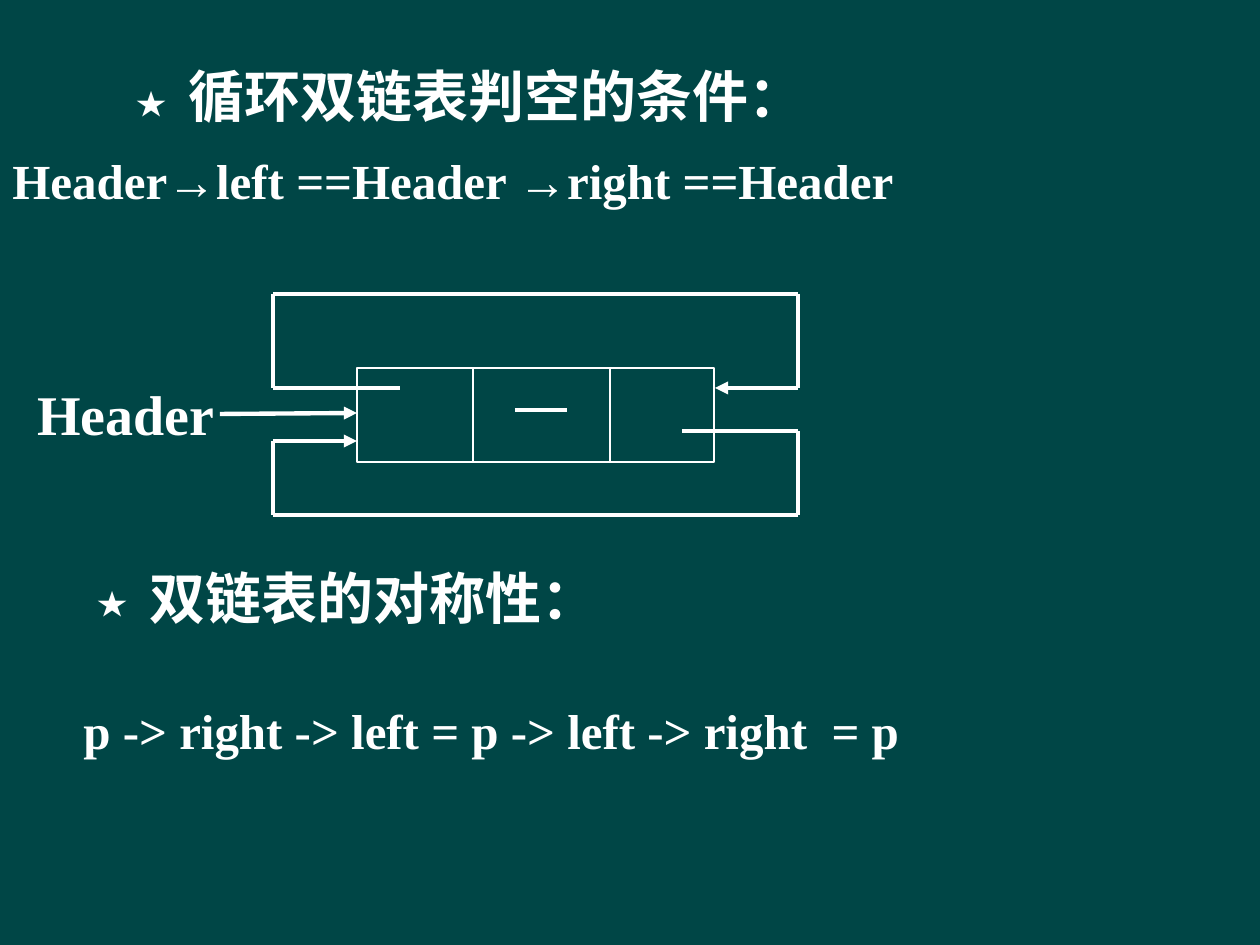
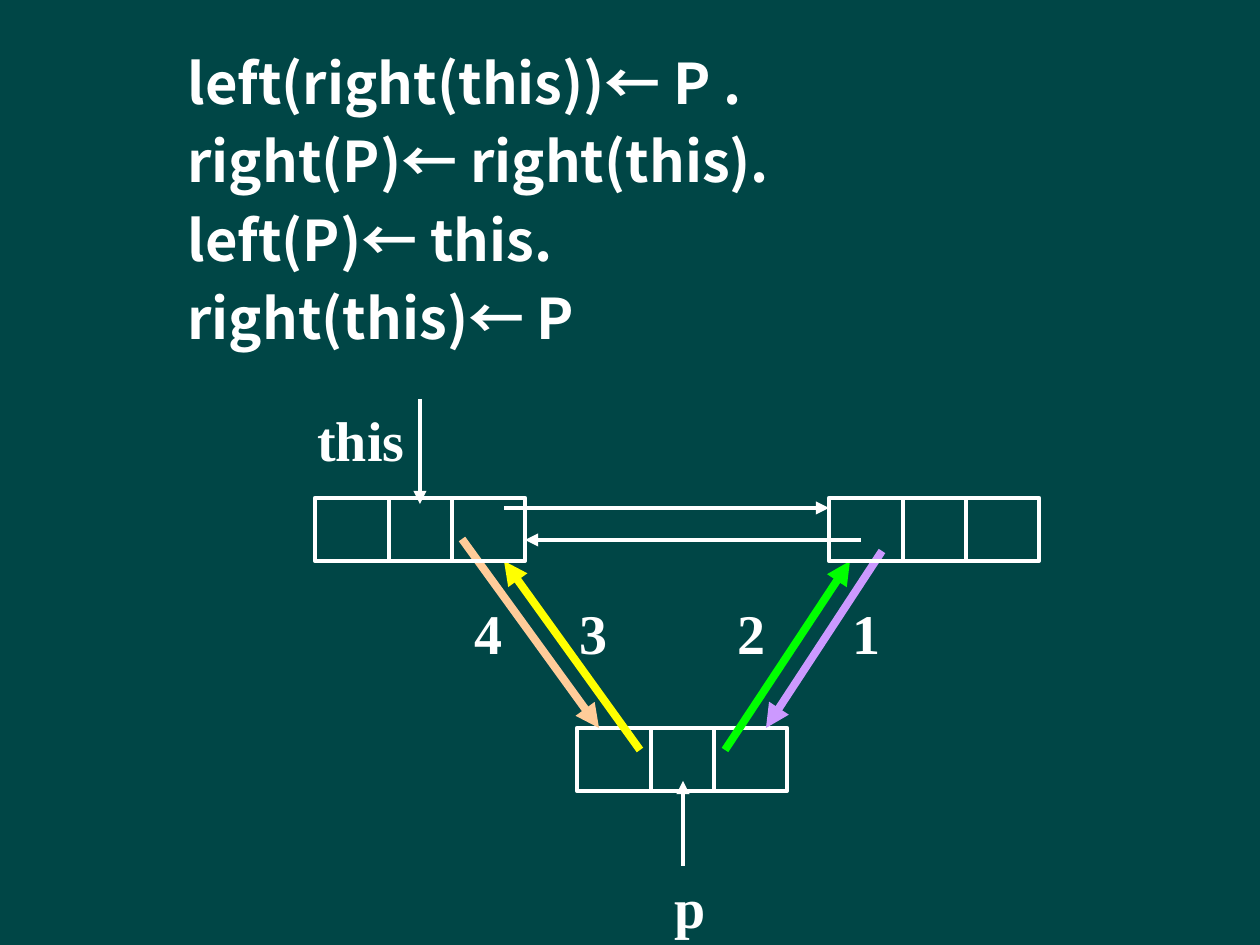
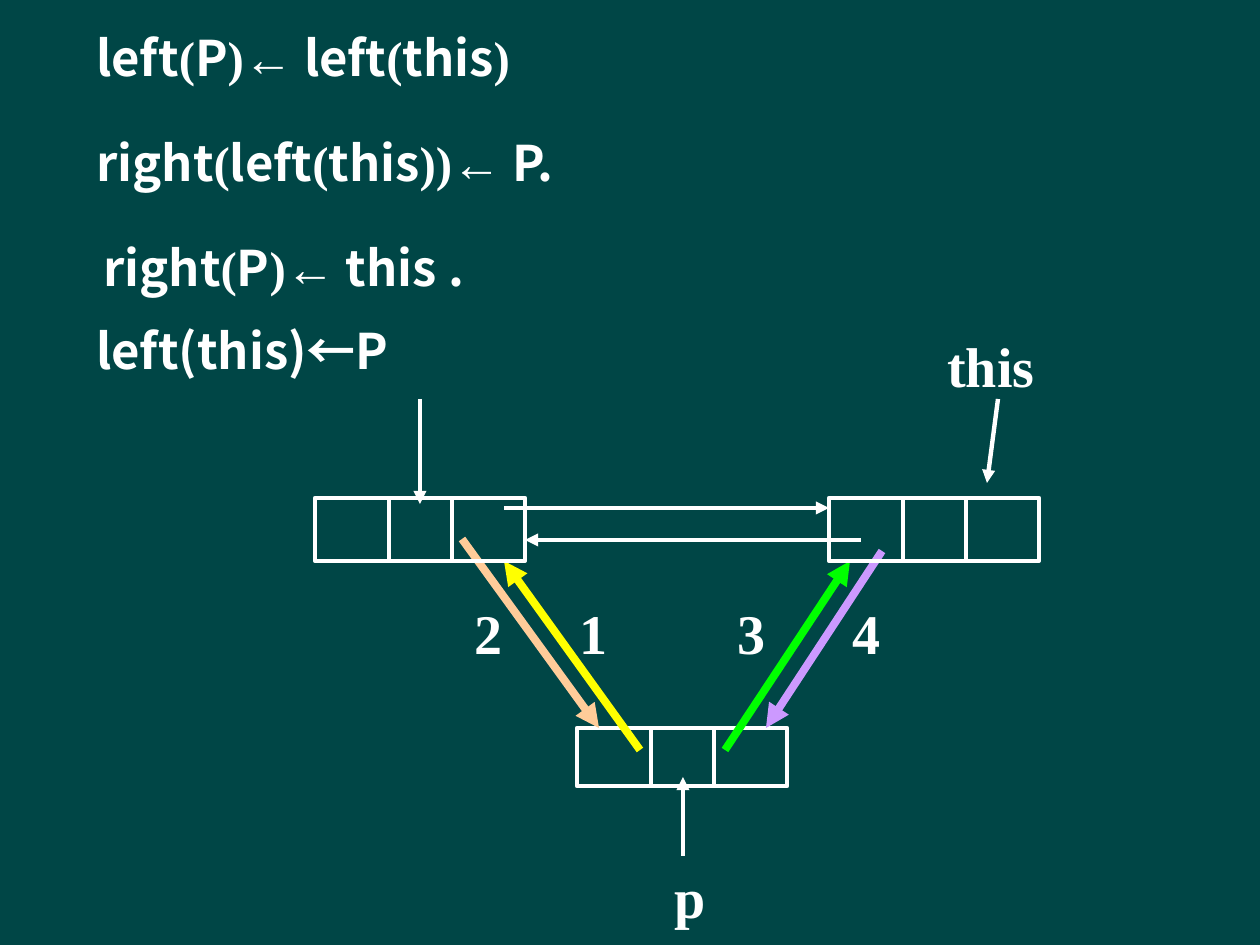
"""Build three slides on circular doubly linked lists and node insertion."""
from itertools import groupby

from lxml.etree import SubElement
from pptx import Presentation
from pptx.dml.color import RGBColor
from pptx.enum.shapes import MSO_CONNECTOR as Connector, MSO_SHAPE as Shape
from pptx.oxml.ns import qn
from pptx.util import Emu, Pt

SCALE = 914400 / 126
TEAL = RGBColor(0x00, 0x46, 0x46)
WHITE = RGBColor(0xFF, 0xFF, 0xFF)
PEACH = RGBColor(0xFF, 0xCC, 0x99)
YELLOW = RGBColor(0xFF, 0xFF, 0x00)
GREEN = RGBColor(0x00, 0xFF, 0x00)
VIOLET = RGBColor(0xCC, 0x99, 0xFF)
SERIF, SANS = "Times New Roman", "Noto Sans CJK SC"

HEADINGS = [
    ("循环双链表判空的条件：", (176, 55), (123, 77)),
    ("双链表的对称性：", (137, 557), (84, 577)),
]
CONDITIONS = [
    ("Header→left ==Header →right ==Header", 0, 144),
    ("p -> right -> left = p -> left -> right  = p", 71, 694),
]
LEFT_LOOP = [(400, 388), (273, 388), (273, 294), (798, 294), (798, 388), (715, 388)]
RIGHT_LOOP = [(682, 431), (798, 431), (798, 515), (273, 515), (273, 441), (357, 441)]

INSERT_AFTER = [
    "left(right(this))← P .",
    "right(P)← right(this).",
    "left(P)← this.",
    "right(this)← P",
]
INSERT_BEFORE = [
    ("left(P)← left(this)", 84, 21, "()←"),
    ("right(left(this))← P.", 84, 126, "()←"),
    ("right(P)← this .", 91, 231, "()←"),
    ("left(this)←P", 84, 314, ""),
]
NEW_LINKS = [
    (PEACH, (462, 539), (599, 728), 462),
    (YELLOW, (640, 750), (504, 561), 567),
    (GREEN, (725, 750), (850, 561), 725),
    (VIOLET, (882, 551), (766, 728), 840),
]


def px(value):
    return Emu(round(value * SCALE))


def add_text(slide, lines, left, top, width=600, height=79, size=32,
             font=SERIF, east=None, serif="", before=0):
    box = slide.shapes.add_textbox(px(left), px(top), px(width), px(height))
    frame = box.text_frame
    frame.word_wrap = True
    for index, line in enumerate(lines):
        paragraph = frame.add_paragraph() if index else frame.paragraphs[0]
        paragraph.space_before = Pt(before)
        for in_serif, letters in groupby(line, lambda letter: letter in serif):
            run = paragraph.add_run()
            run.text = "".join(letters)
            run.font.name = SERIF if in_serif else font
            run.font.size = Pt(size)
            run.font.bold = True
            run.font.color.rgb = WHITE
            if east:
                SubElement(run.font._element, qn("a:ea"), typeface=east)


def add_line(slide, start, end, color=WHITE, weight=2.5, arrow=False):
    line = slide.shapes.add_connector(
        Connector.STRAIGHT, *(px(value) for value in (*start, *end)))
    line.line.color.rgb = color
    line.line.width = Pt(weight)
    if arrow:
        SubElement(line.line._get_or_add_ln(), qn("a:tailEnd"), type="triangle")
    SubElement(line._element.spPr, qn("a:effectLst"))


def add_route(slide, points):
    for index, (start, end) in enumerate(zip(points, points[1:]), 2):
        add_line(slide, start, end, arrow=index == len(points))


def add_node(slide, left, top, width=210, height=63, dividers=(74, 137), weight=2.5):
    node = slide.shapes.add_shape(
        Shape.RECTANGLE, px(left), px(top), px(width), px(height))
    node.shadow.inherit = False
    node.fill.background()
    node.line.color.rgb = WHITE
    node.line.width = Pt(weight)
    for offset in dividers:
        x = left + offset
        add_line(slide, (x, top), (x, top + height), weight=weight)


def add_insertion(slide, steps, new_height, p_top, p_tip):
    add_node(slide, 577, 728, height=new_height)
    add_route(slide, [(683, p_top), (683, p_tip)])
    add_text(slide, ["p"], 662, p_top, width=189)
    for step, (color, start, end, left) in zip(steps, NEW_LINKS):
        add_line(slide, start, end, color, weight=4.5, arrow=True)
        add_text(slide, [step], left, 592, width=84)
    for left in (315, 829):
        add_node(slide, left, 498)
    for route in ([(504, 508), (829, 508)], [(861, 540), (525, 540)],
                  [(420, 399), (420, 504)]):
        add_route(slide, route)


def build_empty_list(slide):
    for heading, place, star_place in HEADINGS:
        add_text(slide, [heading], *place, width=672, east=SANS)
        add_text(slide, ["★"], *star_place, width=64, height=50, size=18)
    for condition, left, top in CONDITIONS:
        add_text(slide, [condition], left, top, width=1100, height=69, size=28)
    add_text(slide, ["Header"], 25, 373, width=220)
    add_node(slide, 357, 368, width=357, height=94, dividers=(116, 253), weight=1)
    for route in (LEFT_LOOP, RIGHT_LOOP, [(220, 414), (357, 413)]):
        add_route(slide, route)
    add_line(slide, (515, 410), (567, 410))


def build_insert_after(slide):
    add_text(slide, INSERT_AFTER, 175, 42, width=900, height=330, font=SANS, before=6.4)
    add_insertion(slide, "4321", new_height=63, p_top=866, p_tip=781)
    add_text(slide, ["this"], 305, 399, width=126)


def build_insert_before(slide):
    add_insertion(slide, "2134", new_height=58, p_top=856, p_tip=777)
    for line, left, top, serif in INSERT_BEFORE:
        add_text(slide, [line], left, top, height=72, size=28, font=SANS, serif=serif)
    add_text(slide, ["this"], 935, 325, width=126)
    add_route(slide, [(998, 399), (987, 483)])


def main():
    deck = Presentation()
    deck.slide_width, deck.slide_height = px(1260), px(945)
    background = deck.slide_master.background.fill
    background.solid()
    background.fore_color.rgb = TEAL
    blank = deck.slide_layouts[6]
    for build in (build_empty_list, build_insert_after, build_insert_before):
        build(deck.slides.add_slide(blank))
    deck.save("out.pptx")


if __name__ == "__main__":
    main()
